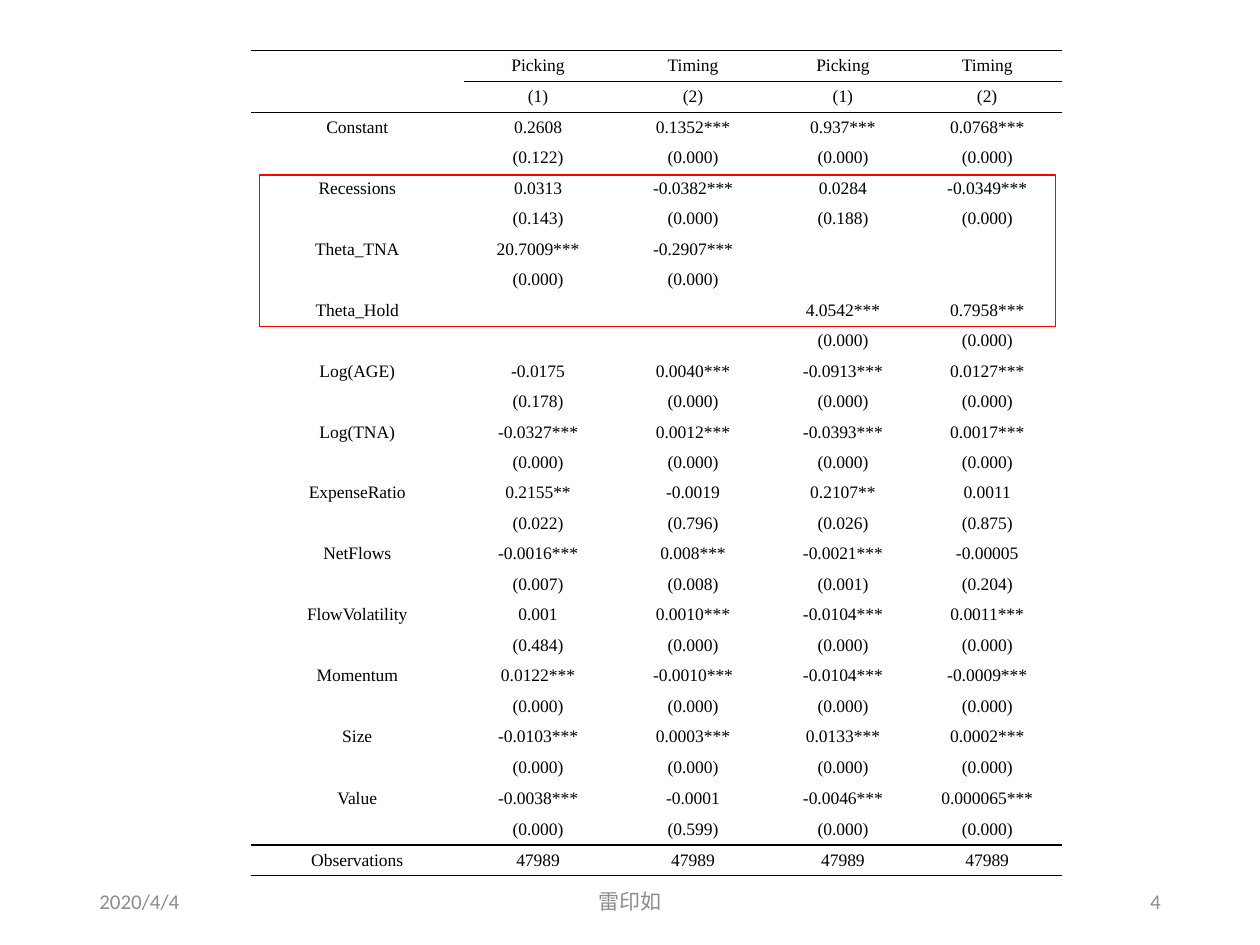
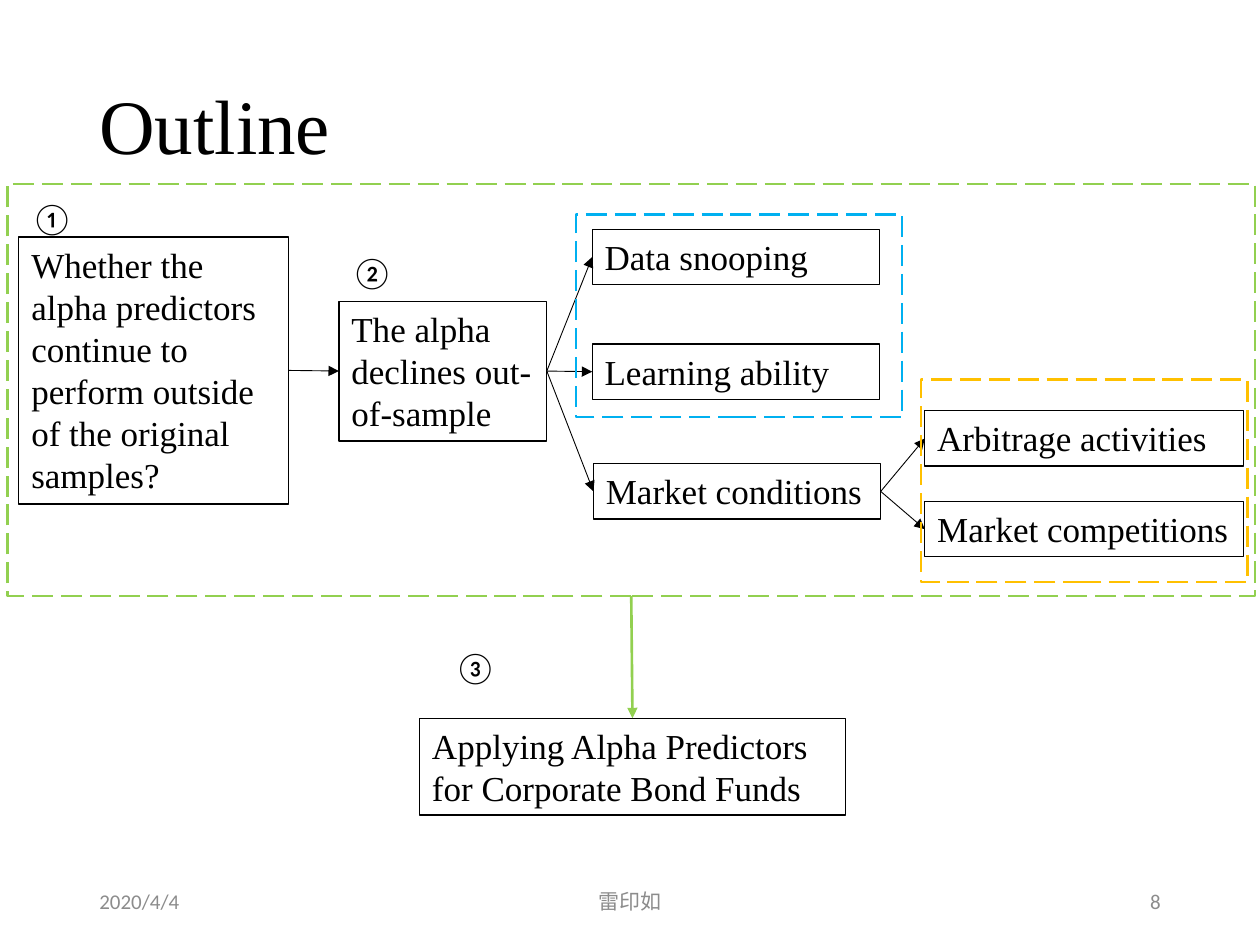
from lxml import etree
from pptx import Presentation
from pptx import util as u
from pptx.dml.color import RGBColor
from pptx.enum import dml, shapes, text
from pptx.oxml.ns import qn

COLORS = {"ink": "000000", "muted": "8C8C8C", "red": "FF0000",
          "blue": "00B0F0", "amber": "FFC000", "green": "92D050"}
SERIF, SANS = "Times New Roman", "Calibri"
LEFT, CENTER, RIGHT = text.PP_ALIGN.LEFT, text.PP_ALIGN.CENTER, text.PP_ALIGN.RIGHT
TOP, BOTTOM, LEFT_SIDE, RIGHT_SIDE = 0, 2, 1, 3

ESTIMATES = [
    ("Constant", "0.2608 0.1352*** 0.937*** 0.0768***", "(0.122) (0.000) (0.000) (0.000)"),
    ("Recessions", "0.0313 -0.0382*** 0.0284 -0.0349***", "(0.143) (0.000) (0.188) (0.000)"),
    ("Theta_TNA", "20.7009*** -0.2907*** _ _", "(0.000) (0.000) _ _"),
    ("Theta_Hold", "_ _ 4.0542*** 0.7958***", "_ _ (0.000) (0.000)"),
    ("Log(AGE)", "-0.0175 0.0040*** -0.0913*** 0.0127***", "(0.178) (0.000) (0.000) (0.000)"),
    ("Log(TNA)", "-0.0327*** 0.0012*** -0.0393*** 0.0017***", "(0.000) (0.000) (0.000) (0.000)"),
    ("ExpenseRatio", "0.2155** -0.0019 0.2107** 0.0011", "(0.022) (0.796) (0.026) (0.875)"),
    ("NetFlows", "-0.0016*** 0.008*** -0.0021*** -0.00005", "(0.007) (0.008) (0.001) (0.204)"),
    ("FlowVolatility", "0.001 0.0010*** -0.0104*** 0.0011***", "(0.484) (0.000) (0.000) (0.000)"),
    ("Momentum", "0.0122*** -0.0010*** -0.0104*** -0.0009***", "(0.000) (0.000) (0.000) (0.000)"),
    ("Size", "-0.0103*** 0.0003*** 0.0133*** 0.0002***", "(0.000) (0.000) (0.000) (0.000)"),
    ("Value", "-0.0038*** -0.0001 -0.0046*** 0.000065***", "(0.000) (0.599) (0.000) (0.000)"),
]


class Deck:
    """Shared style and current slide, measured on a grid of 100 columns by 75 rows."""

    def __init__(self):
        self.prs = Presentation()
        self.prs.slide_width, self.prs.slide_height = u.Inches(10), u.Inches(7.5)
        self.cell = self.prs.slide_width / 100

    def grid(self, *lengths):
        return [u.Emu(round(n * self.cell)) for n in lengths]

    def slide(self, number):
        self.s = self.prs.slides.add_slide(self.prs.slide_layouts[6])
        for label, x, w, align in (("2020/4/4", 6.9, 22.5, LEFT),
                                   ("雷印如", 33.1, 33.8, CENTER),
                                   (str(number), 70.6, 22.5, RIGHT)):
            self.text(label, (x, 69.5, w, 4), 12, SANS, "muted", align, middle=True)

    def style(self, p, size, font, color="ink", align=LEFT):
        p.alignment = align
        for r in p.runs:
            r.font.size, r.font.name = u.Pt(size), font
            r.font.color.rgb = RGBColor.from_string(COLORS[color])

    def fill_frame(self, tf, words, size, font, color="ink", align=LEFT, middle=False):
        tf.word_wrap = True
        tf.vertical_anchor = text.MSO_ANCHOR.MIDDLE if middle else text.MSO_ANCHOR.TOP
        tf.text = words
        self.style(tf.paragraphs[0], size, font, color, align)

    def text(self, words, box, *look, **options):
        sp = self.s.shapes.add_textbox(*self.grid(*box))
        self.fill_frame(sp.text_frame, words, *look, **options)
        return sp

    def title(self, words):
        sp = self.text(words, (6.9, 3, 86.2, 14.5), 44, SERIF, middle=True)
        sp.text_frame.paragraphs[0].line_spacing = 0.9

    def stroke(self, line, color, width):
        line.color.rgb = RGBColor.from_string(COLORS[color])
        line.width = u.Pt(width)

    def frame(self, box, color="ink", width=0.75, dashed=False):
        sp = self.s.shapes.add_shape(shapes.MSO_SHAPE.RECTANGLE, *self.grid(*box))
        sp.shadow.inherit = False
        sp.fill.background()
        self.stroke(sp.line, color, width)
        if dashed:
            sp.line.dash_style = dml.MSO_LINE.LONG_DASH
        return sp

    def box(self, words, box):
        sp = self.frame(box)
        self.fill_frame(sp.text_frame, words, 20, SERIF)
        sp.text_frame.auto_size = text.MSO_AUTO_SIZE.SHAPE_TO_FIT_TEXT
        return sp

    def arrow(self, start, end, sides=(RIGHT_SIDE, LEFT_SIDE), color="ink", width=0.5):
        c = self.s.shapes.add_connector(shapes.MSO_CONNECTOR.STRAIGHT, 0, 0, 0, 0)
        c.begin_connect(start, sides[0])
        c.end_connect(end, sides[1])
        self.stroke(c.line, color, width)
        etree.SubElement(c.line._get_or_add_ln(), qn("a:tailEnd"), type="triangle")
        etree.SubElement(c._element.spPr, qn("a:effectLst"))

    def border(self, cell, side, shown):
        ln = etree.SubElement(cell._tc.get_or_add_tcPr(), qn("a:" + side), w=str(u.Pt(1)))
        if shown:
            fill = etree.SubElement(ln, qn("a:solidFill"))
            etree.SubElement(fill, qn("a:srgbClr"), val=COLORS["ink"])
        else:
            etree.SubElement(ln, qn("a:noFill"))

    def table(self, rows, origin, widths, heights, ruled):
        box = (*origin, sum(widths), sum(heights))
        tbl = self.s.shapes.add_table(len(rows), len(widths), *self.grid(*box)).table
        tbl.first_row = tbl.horz_banding = False
        for column, w in zip(tbl.columns, self.grid(*widths)):
            column.width = w
        for row, h in zip(tbl.rows, self.grid(*heights)):
            row.height = h
        for i, row in enumerate(rows):
            for j, words in enumerate(row):
                cell = tbl.cell(i, j)
                cell.margin_left = cell.margin_right = cell.margin_top = cell.margin_bottom = 0
                cell.vertical_anchor = text.MSO_ANCHOR.MIDDLE
                p = cell.text_frame.paragraphs[0]
                p.text = words
                self.style(p, 10, SERIF, align=CENTER)
                if not words:
                    etree.SubElement(p._p, qn("a:endParaRPr"), sz="1000")
                for side, shown in (("lnL", False), ("lnR", False),
                                    ("lnT", ruled(i, j)), ("lnB", ruled(i + 1, j))):
                    self.border(cell, side, shown)
                cell.fill.background()


def regression_slide(deck):
    deck.slide(4)
    rows = [["", *["Picking", "Timing"] * 2], ["", *["(1)", "(2)"] * 2]]
    for name, values, p_values in ESTIMATES:
        for label, line in ((name, values), ("", p_values)):
            rows.append([label, *(v.replace("_", "") for v in line.split())])
    rows.append(["Observations", *["47989"] * 4])
    last = len(rows)
    heights = [2.46 if i < 2 or i >= last - 4 else 2.42 for i in range(last)]
    deck.table(rows, (19.9, 4), (16.9, 11.8, 12.8, 11, 11.9), heights,
               lambda i, j: i in (0, 2, last - 1, last) or (i == 1 and j > 0))
    deck.frame((20.6, 13.9, 63.2, 12), "red")


def outline_slide(deck):
    deck.slide(8)
    deck.title("Outline")
    decline = deck.box("The alpha declines out-of-sample", (26.9, 23.9, 16.5, 11.1))
    causes = [deck.box(words, (x, y, 22.8, 4.4)) for words, x, y in (
        ("Data snooping", 47, 18.2), ("Learning ability", 47, 27.3),
        ("Market conditions", 47.1, 36.8))]
    for cause in causes:
        deck.arrow(decline, cause)
    for words, y in (("Arbitrage activities", 32.6), ("Market competitions", 39.8)):
        deck.arrow(causes[-1], deck.box(words, (73.4, y, 25.3, 4.4)))
    question = deck.box("Whether the alpha predictors continue to perform outside "
                        "of the original samples?", (1.5, 18.8, 21.4, 21.2))
    deck.arrow(question, decline)
    deck.frame((45.7, 17, 25.9, 16.1), "blue", 1.5, dashed=True)
    deck.frame((73.1, 30.1, 25.9, 16.1), "amber", 1.5, dashed=True)
    application = deck.box("Applying Alpha Predictors for Corporate Bond Funds",
                           (33.3, 57, 33.8, 7.7))
    study = deck.frame((0.6, 14.6, 99, 32.7), "green", 1.5, dashed=True)
    for mark, x, y in (("①", 1.5, 15.3), ("②", 26.9, 19.6), ("③", 35.1, 50.9)):
        deck.text(mark, (x, y, 6.4, 4), 18, SANS)
    deck.arrow(study, application, (BOTTOM, TOP), "green", 1.5)


def main():
    deck = Deck()
    regression_slide(deck)
    outline_slide(deck)
    deck.prs.save("out.pptx")


if __name__ == "__main__":
    main()
